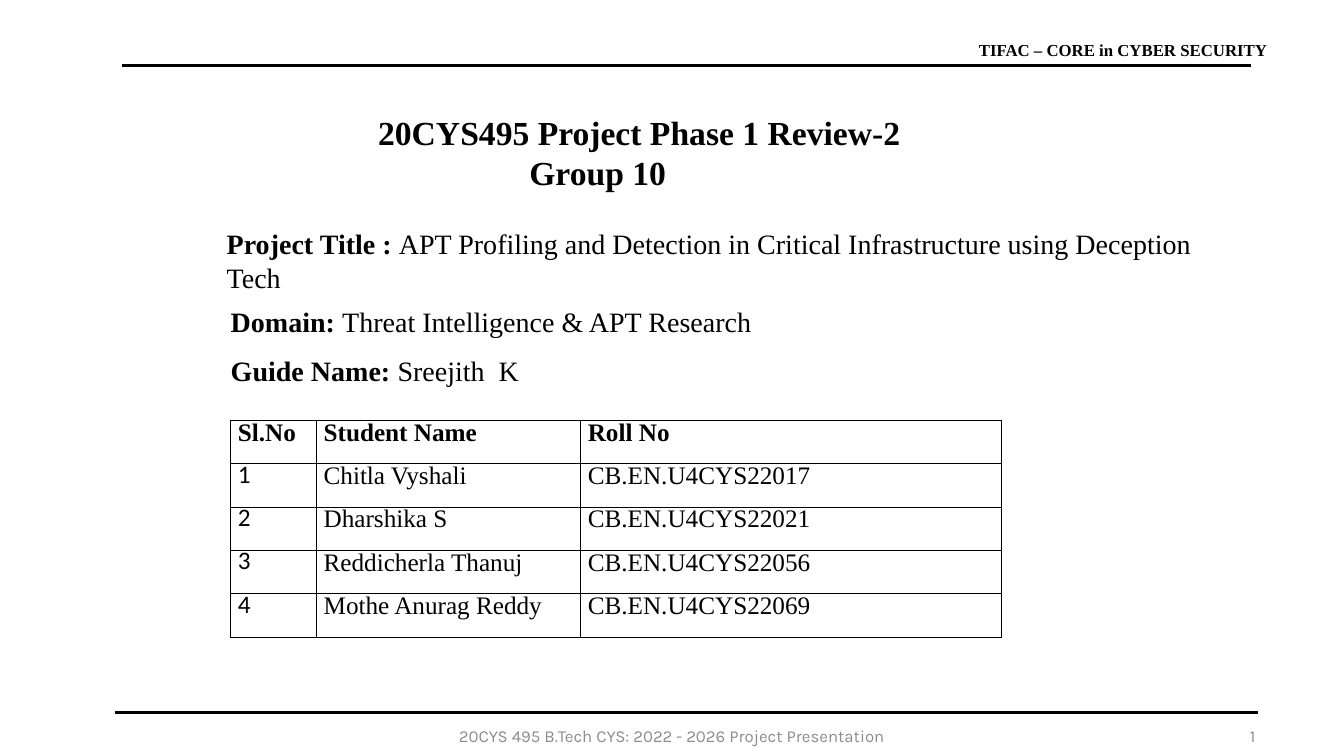
from dataclasses import dataclass
from lxml.etree import SubElement
from pptx import Presentation
from pptx.dml.color import RGBColor
from pptx.enum.shapes import MSO_CONNECTOR as Connector
from pptx.enum.text import MSO_ANCHOR as Anchor, PP_ALIGN as Align
from pptx.oxml.ns import qn
from pptx.util import Inches, Pt


@dataclass(frozen=True)
class Theme:
    ink: RGBColor = RGBColor(0, 0, 0)
    muted: RGBColor = RGBColor(0x8C, 0x8C, 0x8C)
    paper: RGBColor = RGBColor(255, 255, 255)
    serif: str = "Times New Roman"
    sans: str = "Karla"
    digits: str = "Calibri"
    title: int = 24
    body: int = 20
    cell: int = 18
    small: int = 12
    rule: float = 2
    border: float = 0.75
    leading: float = 15.8


T = Theme()
W, H = 13.33, 7.5

TITLE = ["20CYS495 Project Phase 1 Review-2", "Group 10"]
HEADER = "TIFAC – CORE in CYBER SECURITY"
FOOTER = "20CYS 495 B.Tech CYS: 2022 - 2026 Project Presentation"
PAGE = "1"
DETAILS = [
    ("Project Title : ", "APT Profiling and Detection in Critical Infrastructure using Deception Tech"),
    ("Domain: ", "Threat Intelligence & APT Research"),
    ("Guide Name: ", "Sreejith  K"),
]
STUDENTS = [
    ("Sl.No", "Student Name", "Roll No"),
    ("1", "Chitla Vyshali", "CB.EN.U4CYS22017"),
    ("2", "Dharshika S", "CB.EN.U4CYS22021"),
    ("3", "Reddicherla Thanuj", "CB.EN.U4CYS22056"),
    ("4", "Mothe Anurag Reddy", "CB.EN.U4CYS22069"),
]

RULES = [(1.21, 12.41, 0.65), (1.14, 12.48, 7.07)]
TITLE_BOX = (3.65, 1.06, 5.72, 0.91)
GROUP_INDENT = 1.5
HEADER_BOX = (9.61, 0.35, 3.09, 0.3)
FOOTER_TOP, FOOTER_H = 7.1, 0.4
FOOTER_W, PAGE_W, PAGE_RIGHT = 4.5, 3, 12.55
DETAIL_BOXES = [(2.15, 2.2, 10.33, 0.77), (2.19, 2.97, 6.26, 0.44), (2.19, 3.46, 6.71, 0.44)]
TABLE_LEFT, TABLE_TOP, ROW_H = 2.29, 4.17, 0.43
COLUMNS = [0.85, 2.62, 4.17]
CELL_X, CELL_Y = 0.07, 0.04


def add_run(p, text, size, font=T.serif, color=T.ink, bold=False):
    r = p.add_run()
    r.text = text
    r.font.size = Pt(size)
    r.font.name = font
    r.font.bold = bold
    r.font.color.rgb = color


def add_box(s, box, wrap=True, anchor=Anchor.TOP, align=Align.LEFT):
    tf = s.shapes.add_textbox(*map(Inches, box)).text_frame
    tf.word_wrap = wrap
    tf.vertical_anchor = anchor
    p = tf.paragraphs[0]
    p.alignment = align
    return p


def add_rule(s, left, right, y):
    line = s.shapes.add_connector(Connector.STRAIGHT, *map(Inches, (left, y, right, y)))
    line.line.color.rgb = T.ink
    line.line.width = Pt(T.rule)
    SubElement(line._element.spPr, qn("a:effectLst"))


def add_title(s):
    title = s.shapes.title
    title.left, title.top, title.width, title.height = map(Inches, TITLE_BOX)
    tf = title.text_frame
    tf.word_wrap = True
    tf.vertical_anchor = Anchor.TOP
    for i, text in enumerate(TITLE):
        p = tf.paragraphs[0] if i == 0 else tf.add_paragraph()
        p.alignment = Align.LEFT
        p.space_before = Pt(0)
        p._p.get_or_add_pPr().set("marL", str(Inches(GROUP_INDENT * i)))
        add_run(p, text, T.title, bold=True)


def style_cell(cell):
    cell.fill.solid()
    cell.fill.fore_color.rgb = T.paper
    cell.margin_left = cell.margin_right = Inches(CELL_X)
    cell.margin_top = cell.margin_bottom = Inches(CELL_Y)
    tcPr = cell._tc.get_or_add_tcPr()
    for i, side in enumerate(("lnL", "lnR", "lnT", "lnB")):
        ln = tcPr.makeelement(qn(f"a:{side}"), {"w": str(Pt(T.border))})
        fill = SubElement(ln, qn("a:solidFill"))
        SubElement(fill, qn("a:srgbClr"), val=str(T.ink))
        tcPr.insert(i, ln)


def add_students(s):
    size = (sum(COLUMNS), ROW_H * len(STUDENTS))
    table = s.shapes.add_table(len(STUDENTS), len(COLUMNS),
                               *map(Inches, (TABLE_LEFT, TABLE_TOP, *size))).table
    table.horz_banding = False
    for column, width in zip(table.columns, COLUMNS):
        column.width = Inches(width)
    for i, student in enumerate(STUDENTS):
        table.rows[i].height = Inches(ROW_H)
        for j, text in enumerate(student):
            cell = table.cell(i, j)
            style_cell(cell)
            p = cell.text_frame.paragraphs[0]
            p.line_spacing = Pt(T.leading)
            font = T.digits if i and j == 0 else T.serif
            add_run(p, text, T.cell, font, bold=i == 0)


def main():
    prs = Presentation()
    prs.slide_width, prs.slide_height = Inches(W), Inches(H)
    s = prs.slides.add_slide(prs.slide_layouts[5])
    for rule in RULES:
        add_rule(s, *rule)
    add_run(add_box(s, HEADER_BOX, wrap=False), HEADER, T.small, bold=True)
    footers = [
        (PAGE, PAGE_RIGHT - PAGE_W, PAGE_W, Align.RIGHT),
        (FOOTER, (W - FOOTER_W) / 2, FOOTER_W, Align.CENTER),
    ]
    for text, left, width, align in footers:
        p = add_box(s, (left, FOOTER_TOP, width, FOOTER_H), anchor=Anchor.MIDDLE, align=align)
        add_run(p, text, T.small, T.sans, T.muted)
    add_title(s)
    for box, (label, value) in zip(DETAIL_BOXES, DETAILS):
        p = add_box(s, box)
        add_run(p, label, T.body, bold=True)
        add_run(p, value, T.body)
    add_students(s)
    prs.save("out.pptx")


if __name__ == "__main__":
    main()
